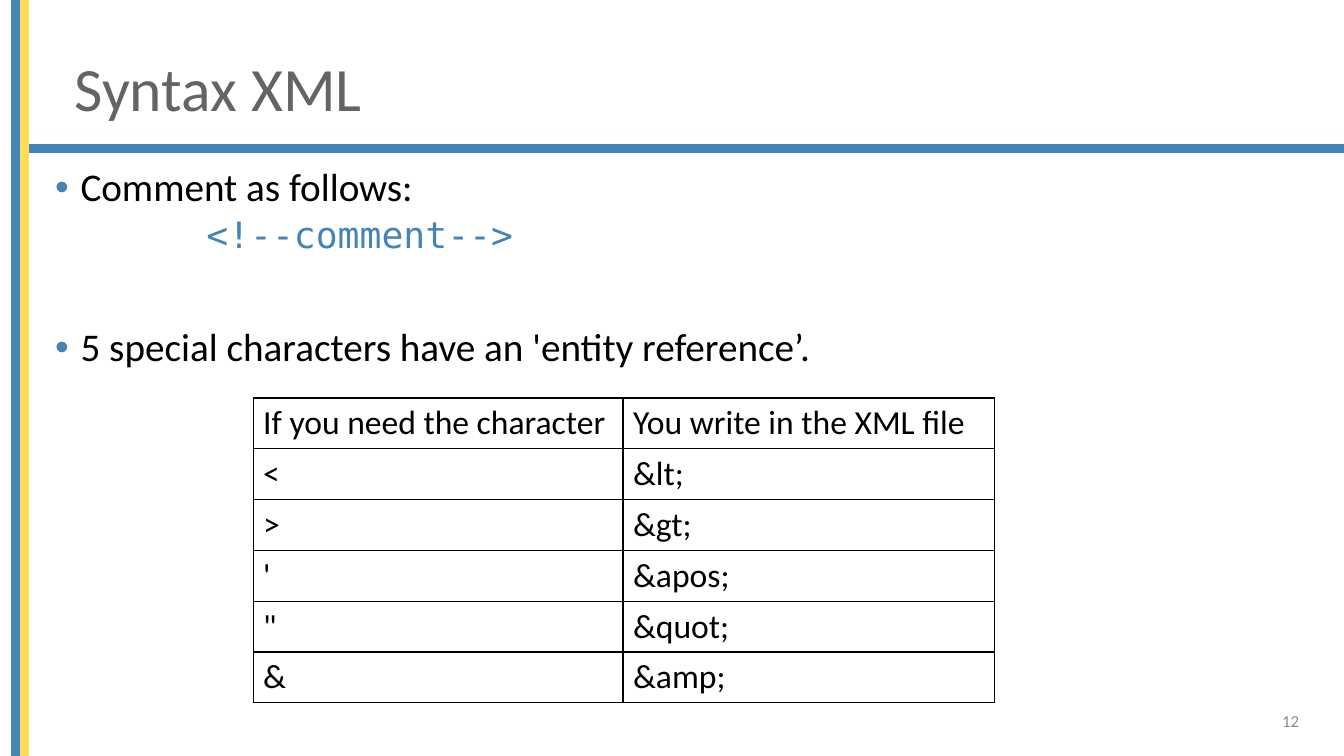
from dataclasses import dataclass

from lxml import etree
from pptx import Presentation
from pptx.dml.color import RGBColor
from pptx.enum.shapes import MSO_SHAPE
from pptx.enum.text import MSO_ANCHOR, PP_ALIGN
from pptx.oxml.ns import qn
from pptx.slide import Slide
from pptx.table import _Cell
from pptx.text.text import TextFrame, _Paragraph
from pptx.util import Cm, Pt

RECTANGLE = MSO_SHAPE.RECTANGLE
TOP, MIDDLE = MSO_ANCHOR.TOP, MSO_ANCHOR.MIDDLE
LEFT, RIGHT = PP_ALIGN.LEFT, PP_ALIGN.RIGHT

COLORS = {
    "blue": "4584B6",
    "yellow": "FFDE57",
    "title": "646464",
    "number": "8C8C8C",
    "black": "000000",
}
SANS = "Calibri"
MONO = "DejaVu Sans Mono"
SLIDE_WIDTH, SLIDE_HEIGHT = 33.87, 19.05


@dataclass
class Box:
    left: float
    top: float
    width: float
    height: float


@dataclass
class Band:
    box: Box
    color: str


@dataclass
class Line:
    text: str
    size: float
    color: str = "black"
    font: str = SANS
    space_before: float = 0
    spacing: float = 0.9
    indent: float = 0
    bullet: bool = False
    alignment: PP_ALIGN = LEFT


@dataclass
class TextBlock:
    box: Box
    lines: list[Line]
    anchor: MSO_ANCHOR = TOP


BANDS = [
    Band(Box(0.47, 3.64, SLIDE_WIDTH - 0.47, 0.2), "blue"),
    Band(Box(0.3, 0, 0.2, SLIDE_HEIGHT), "blue"),
    Band(Box(0.51, 0, 0.2, SLIDE_HEIGHT), "yellow"),
]

TEXT_BLOCKS = [
    TextBlock(Box(1.63, 1.02, 29.92, 2.57), [Line("Syntax XML", 44, "title")], MIDDLE),
    TextBlock(Box(1.14, 4.11, 31.55, 14.33), [
        Line("Comment as follows:", 28, indent=0.64, bullet=True),
        Line("<!--comment-->", 26, "blue", MONO, space_before=5, indent=3.81),
        Line("5 special characters have an 'entity reference’.", 28,
             space_before=51, indent=0.64, bullet=True),
    ]),
    TextBlock(Box(25.37, 17.65, 7.62, 1.02),
              [Line("12", 12, "number", spacing=1, alignment=RIGHT)], MIDDLE),
]

ENTITY_ROWS = [
    ("If you need the character", "You write in the XML file"),
    ("<", "&lt;"),
    (">", "&gt;"),
    ("'", "&apos;"),
    ('"', "&quot;"),
    ("&", "&amp;"),
]
COLUMN_WIDTHS = (9.32, 9.37)
ROW_HEIGHT = 1.28


def rgb(color: str) -> RGBColor:
    return RGBColor.from_string(COLORS[color])


def place(box: Box) -> tuple[Cm, Cm, Cm, Cm]:
    return Cm(box.left), Cm(box.top), Cm(box.width), Cm(box.height)


def draw_band(slide: Slide, band: Band) -> None:
    shape = slide.shapes.add_shape(RECTANGLE, *place(band.box))
    shape.shadow.inherit = False
    shape.fill.solid()
    shape.fill.fore_color.rgb = rgb(band.color)
    shape.line.color.rgb = rgb(band.color)
    shape.line.width = Pt(1)


def set_indent(paragraph: _Paragraph, line: Line) -> None:
    properties = paragraph._p.get_or_add_pPr()
    properties.set("marL", str(Cm(line.indent)))
    properties.set("indent", str(-Cm(line.indent) if line.bullet else 0))
    if line.bullet:
        bullet_color = etree.SubElement(properties, qn("a:buClr"))
        etree.SubElement(bullet_color, qn("a:srgbClr"), val=COLORS["blue"])
        etree.SubElement(properties, qn("a:buFont"), typeface="Arial")
        etree.SubElement(properties, qn("a:buChar"), char="•")


def write_lines(text_frame: TextFrame, lines: list[Line]) -> None:
    text_frame.text = "\n".join(line.text for line in lines)
    for paragraph, line in zip(text_frame.paragraphs, lines):
        set_indent(paragraph, line)
        paragraph.alignment = line.alignment
        paragraph.line_spacing = line.spacing
        paragraph.space_before = Pt(line.space_before)
        for run in paragraph.runs:
            run.font.name = line.font
            run.font.size = Pt(line.size)
            run.font.color.rgb = rgb(line.color)


def draw_text(slide: Slide, block: TextBlock) -> None:
    text_frame = slide.shapes.add_textbox(*place(block.box)).text_frame
    text_frame.word_wrap = True
    text_frame.vertical_anchor = block.anchor
    write_lines(text_frame, block.lines)


def set_borders(cell: _Cell) -> None:
    properties = cell._tc.get_or_add_tcPr()
    for position, side in enumerate(("a:lnL", "a:lnR", "a:lnT", "a:lnB")):
        border = etree.Element(qn(side), w=str(Pt(1)))
        fill = etree.SubElement(border, qn("a:solidFill"))
        etree.SubElement(fill, qn("a:srgbClr"), val=COLORS["black"])
        properties.insert(position, border)


def draw_entity_table(slide: Slide) -> None:
    box = Box(6.38, 10.03, sum(COLUMN_WIDTHS), ROW_HEIGHT * len(ENTITY_ROWS))
    table = slide.shapes.add_table(
        len(ENTITY_ROWS), len(COLUMN_WIDTHS), *place(box)).table
    table.first_row = False
    table.horz_banding = False
    for column, width in zip(table.columns, COLUMN_WIDTHS):
        column.width = Cm(width)
    for row, texts in zip(table.rows, ENTITY_ROWS):
        row.height = Cm(ROW_HEIGHT)
        for cell, text in zip(row.cells, texts):
            cell.fill.background()
            set_borders(cell)
            write_lines(cell.text_frame, [Line(text, 24, spacing=1)])


def main() -> None:
    presentation = Presentation()
    presentation.slide_width = Cm(SLIDE_WIDTH)
    presentation.slide_height = Cm(SLIDE_HEIGHT)
    slide = presentation.slides.add_slide(presentation.slide_layouts[6])

    # Coloured bands at the left edge and under the title
    for band in BANDS:
        draw_band(slide, band)

    # Title, bullets and slide number
    for block in TEXT_BLOCKS:
        draw_text(slide, block)

    # Special characters and their entities
    draw_entity_table(slide)

    presentation.save("out.pptx")


if __name__ == "__main__":
    main()
